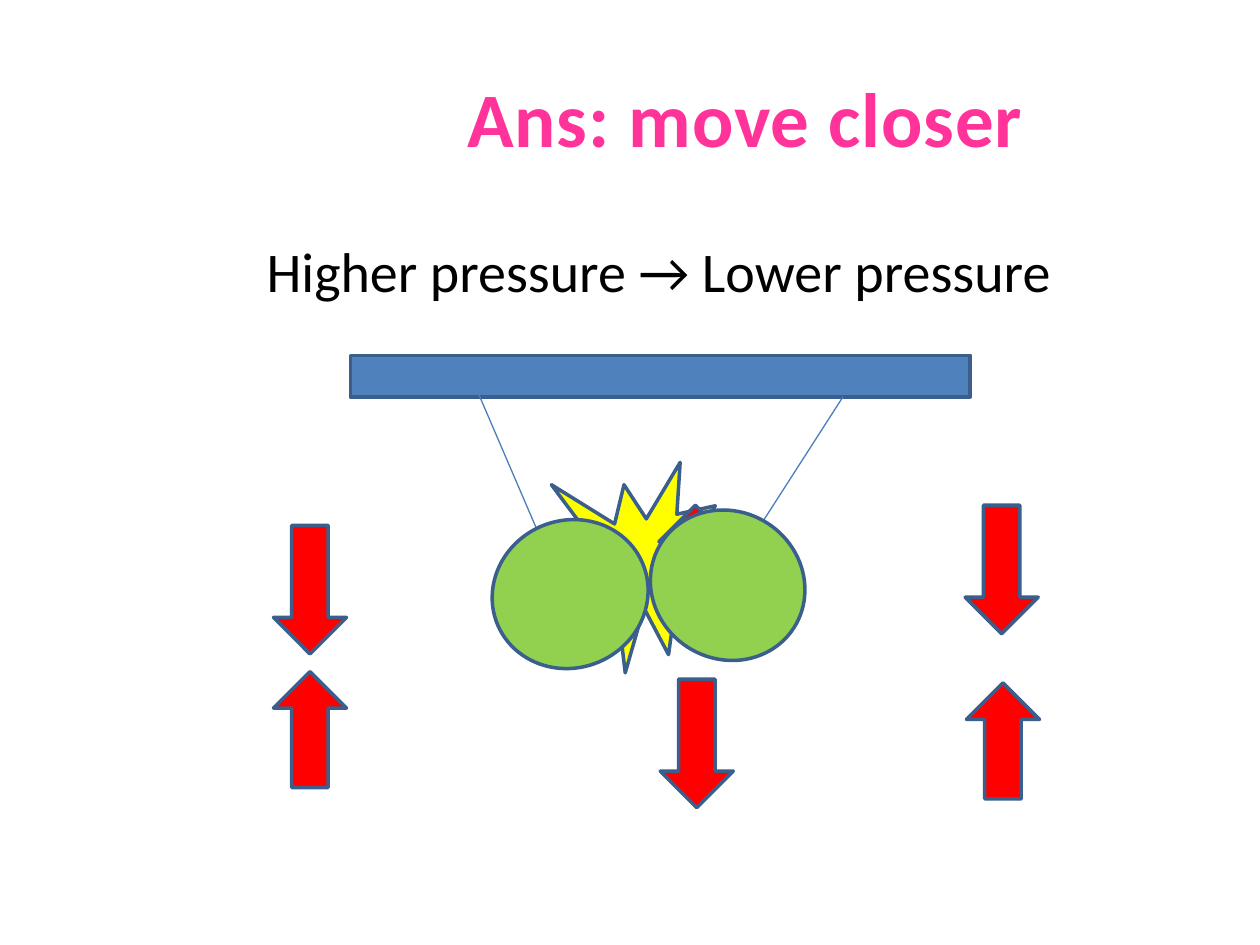
from pptx import Presentation
from pptx.dml.color import RGBColor
from pptx.enum.shapes import MSO_CONNECTOR, MSO_SHAPE
from pptx.enum.text import MSO_ANCHOR, PP_ALIGN
from pptx.oxml.ns import qn
from pptx.util import Inches, Pt
from lxml.etree import SubElement

PINK = RGBColor(0xFF, 0x33, 0x99)
BLACK = RGBColor(0, 0, 0)
BLUE = RGBColor(0x4F, 0x81, 0xBD)
OUTLINE = RGBColor(0x3A, 0x5F, 0x8C)
STRING = RGBColor(0x4B, 0x7E, 0xBC)
YELLOW = RGBColor(0xFF, 0xFF, 0)
RED = RGBColor(0xFF, 0, 0)
GREEN = RGBColor(0x92, 0xD0, 0x50)

COLUMN = ROW = Inches(1)
ARROW_WIDTH, DOWN_HEIGHT, UP_HEIGHT = 0.58, 1.02, 0.92
BALL_WIDTH, BALL_HEIGHT = 1.25, 1.17


def grid(left, top, width, height):
    """Convert a box in columns and rows to slide lengths."""
    return int(left * COLUMN), int(top * ROW), int(width * COLUMN), int(height * ROW)


def add_figure(page, kind, box, color, rotation=0):
    """Add a filled, outlined shape in the given box."""
    figure = page.shapes.add_shape(kind, *grid(*box))
    figure.shadow.inherit = False
    figure.fill.solid()
    figure.fill.fore_color.rgb = color
    figure.line.color.rgb = OUTLINE
    figure.line.width = Pt(2)
    figure.rotation = rotation
    return figure


def write_line(frame, text, size, color, bold=False):
    """Write one centred line of text into a frame."""
    frame.word_wrap = True
    para = frame.paragraphs[0]
    span = para.add_run()
    span.text = text
    para.alignment = PP_ALIGN.CENTER
    para.space_before = Pt(0)
    font = para.font
    font.name, font.size, font.bold = "Calibri", Pt(size), bold
    font.color.rgb = color
    return span


def add_title(page, box):
    """Place and fill the title placeholder."""
    title = page.shapes.title
    title.left, title.top, title.width, title.height = grid(*box)
    title.text_frame.vertical_anchor = MSO_ANCHOR.MIDDLE
    span = write_line(title.text_frame, "Ans: move closer", 44, PINK, bold=True)
    span.font._element.set("spc", "50")


def add_statement(page, box):
    """Add the sentence under the title."""
    statement = page.shapes.add_textbox(*grid(*box))
    write_line(statement.text_frame, "Higher pressure → Lower pressure", 32, BLACK)


def add_arrow(page, left, top, upward=False):
    """Add a red pressure arrow at a grid position."""
    kind = MSO_SHAPE.UP_ARROW if upward else MSO_SHAPE.DOWN_ARROW
    height = UP_HEIGHT if upward else DOWN_HEIGHT
    add_figure(page, kind, (left, top, ARROW_WIDTH, height), RED)


def add_pendulum(page, left, top, rotation, hook, knot):
    """Hang a ball at a grid position on a string from hook to knot."""
    string = page.shapes.add_connector(MSO_CONNECTOR.STRAIGHT, *grid(*hook, *knot))
    string.line.color.rgb = STRING
    string.line.width = Pt(0.75)
    SubElement(string._element.spPr, qn("a:effectLst"))
    add_figure(page, MSO_SHAPE.OVAL, (left, top, BALL_WIDTH, BALL_HEIGHT), GREEN, rotation)


def add_experiment(page, left, top):
    """Draw the beam, collision, arrows and pendulums from the beam's corner."""
    add_figure(page, MSO_SHAPE.RECTANGLE, (left, top, 4.92, 0.33), BLUE)
    add_figure(page, MSO_SHAPE.EXPLOSION1, (left + 1.57, top + 0.85, 1.56, 1.67), YELLOW)
    arrows = [
        (2.45, 1.19, True), (2.46, 2.57, False),
        (-0.61, 1.35, False), (4.88, 1.19, False),
        (-0.61, 2.51, True), (4.89, 2.6, True),
    ]
    for across, down, upward in arrows:
        add_arrow(page, left + across, top + down, upward)
    pendulums = [
        (1.12, 1.31, 336.7, (1.02, 0.31), (1.48, 1.38)),
        (2.37, 1.24, 32.9, (3.91, 0.33), (3.28, 1.31)),
    ]
    for across, down, rotation, hook, knot in pendulums:
        ends = [(left + x, top + y) for x, y in (hook, knot)]
        add_pendulum(page, left + across, top + down, rotation, *ends)


def main():
    """Build and save the deck."""
    deck = Presentation()
    deck.slide_width, deck.slide_height = Inches(10), Inches(7.5)
    page = deck.slides.add_slide(deck.slide_layouts[5])
    add_title(page, (2.33, 0.3, 7.17, 1.25))
    add_statement(page, (0.67, 1.83, 9.12, 0.67))
    add_experiment(page, 2.78, 2.82)
    deck.save("out.pptx")


if __name__ == "__main__":
    main()
